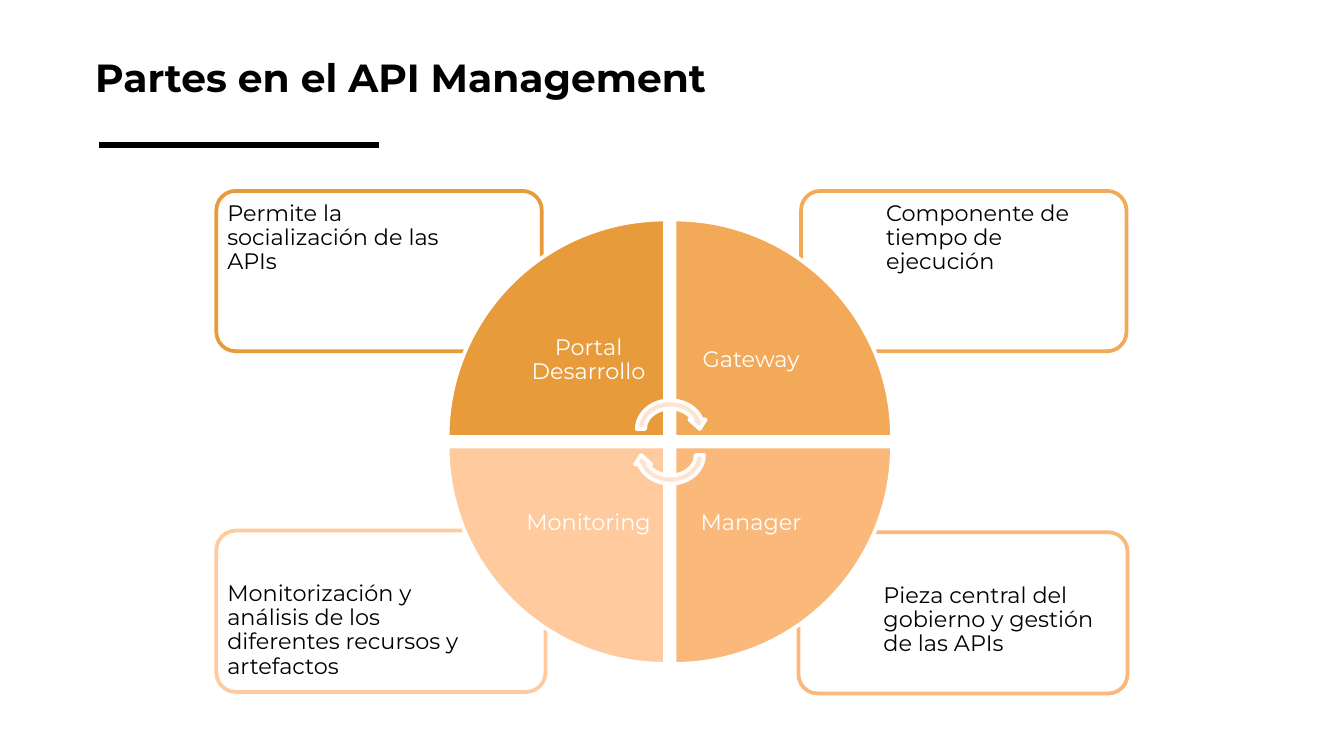
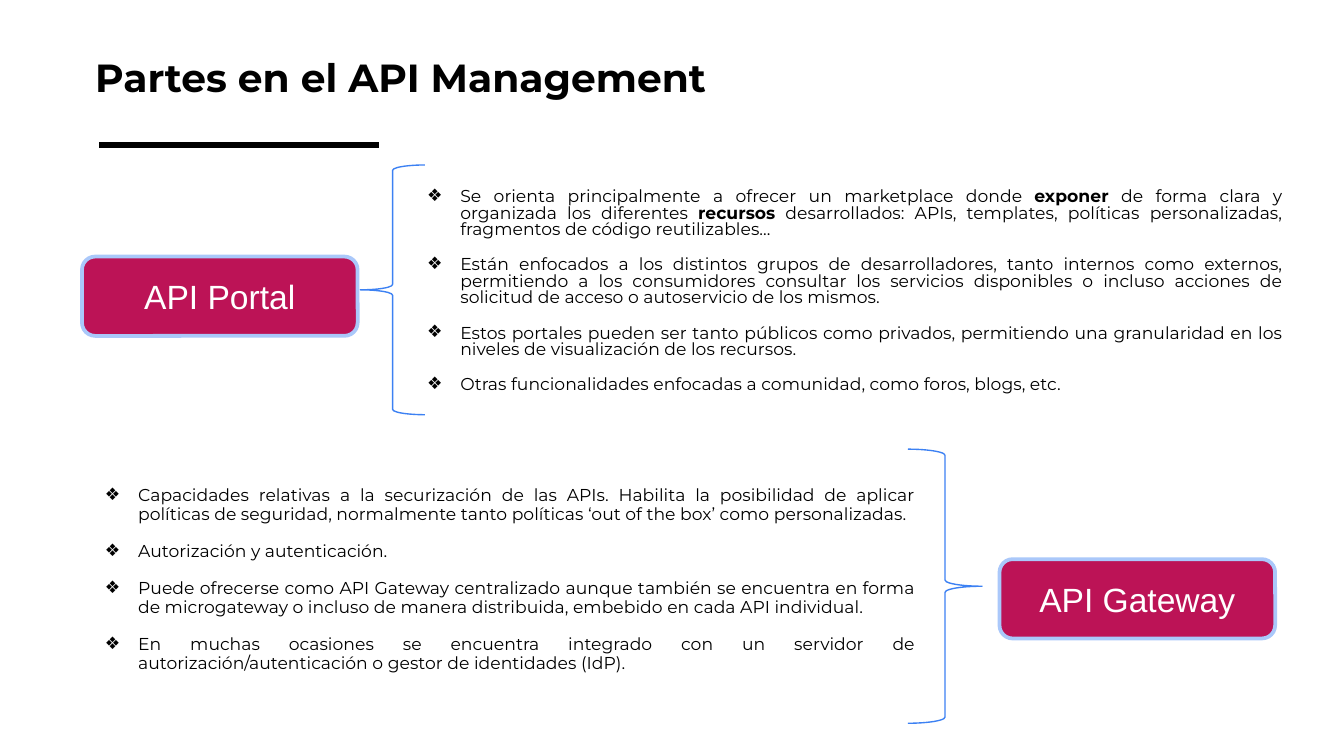
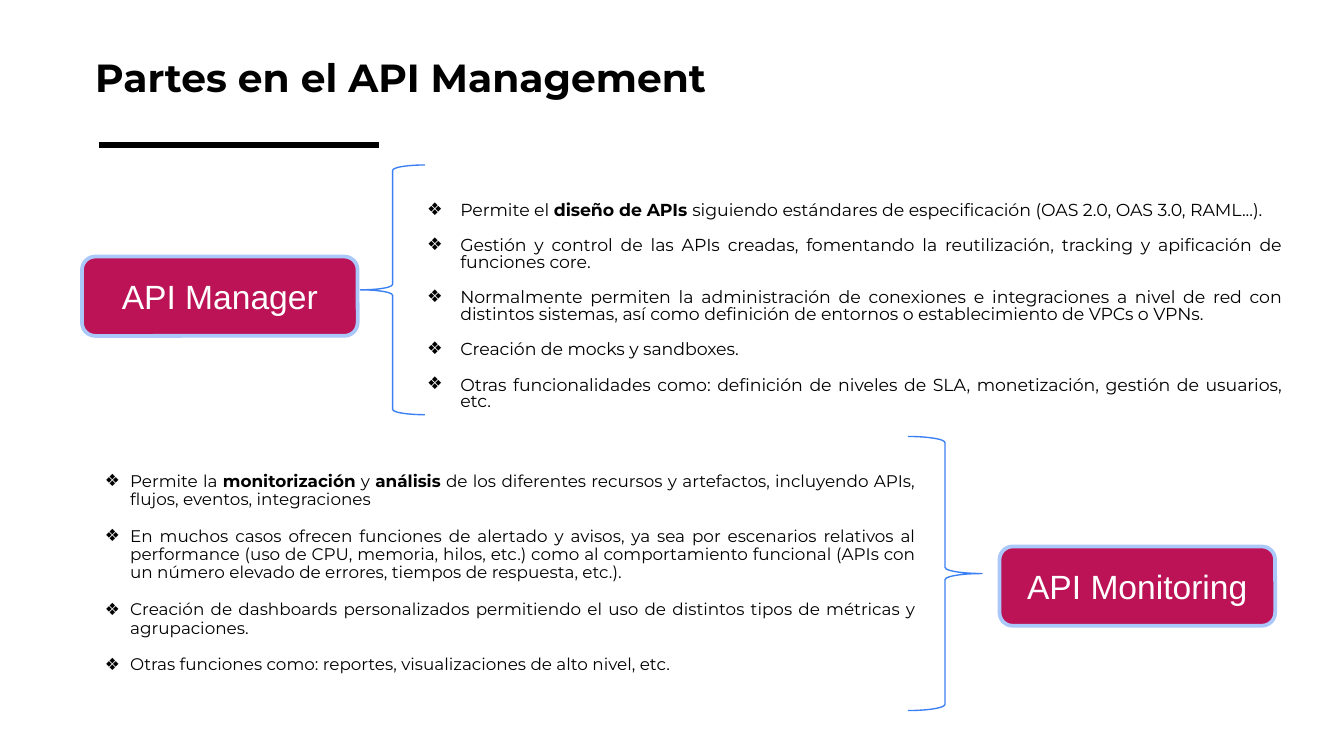
from dataclasses import dataclass
from math import cos, pi, sin
from typing import NamedTuple

from lxml import etree
from pptx import Presentation
from pptx.dml.color import RGBColor
from pptx.enum.shapes import MSO_CONNECTOR, MSO_SHAPE
from pptx.enum.text import MSO_ANCHOR, MSO_AUTO_SIZE, PP_ALIGN
from pptx.oxml.ns import qn
from pptx.util import Cm, Pt

ROUNDED = MSO_SHAPE.ROUNDED_RECTANGLE
BRACE = MSO_SHAPE.LEFT_BRACE
CYCLE_ARROW = MSO_SHAPE.CIRCULAR_ARROW
STRAIGHT = MSO_CONNECTOR.STRAIGHT
TOP, MIDDLE = MSO_ANCHOR.TOP, MSO_ANCHOR.MIDDLE
LEFT, CENTER, JUSTIFY = PP_ALIGN.LEFT, PP_ALIGN.CENTER, PP_ALIGN.JUSTIFY
NO_FIT, GROW = MSO_AUTO_SIZE.NONE, MSO_AUTO_SIZE.SHAPE_TO_FIT_TEXT

# Shared look
BLACK, WHITE = "000000", "FFFFFF"
BUTTON_FILL, BUTTON_LINE, BRACE_LINE = "BC1356", "AAC8FA", "3C81F3"
ARROW_FILL = "FFE2CF"
TEXT_FONT, BUTTON_FONT = "Montserrat", "Arial"
TITLE = "Partes en el API Management"
TITLE_ONLY_LAYOUT, TWO_CONTENT_LAYOUT = 5, 3


class Box(NamedTuple):
    """Left, top, width and height in centimetres."""
    left: float
    top: float
    width: float
    height: float


class Margins(NamedTuple):
    left: float = 0.25
    top: float = 0.13
    right: float = 0.25
    bottom: float = 0.13


@dataclass
class Part:
    """A quarter of the wheel and the box that explains it."""
    name: str
    detail: str
    color: str
    side_x: int
    side_y: int
    box: Box


@dataclass
class Side:
    """Places of a topic; tops of button and text are set per topic."""
    brace_left: float
    brace_width: float
    brace_height: float
    rotation: int
    button_left: float
    button_drop: float
    text_left: float
    text_width: float
    text_height: float
    line_spacing: float


@dataclass
class Topic:
    name: str
    side: Side
    top: float
    text_top: float
    size: float
    indent: float
    items: list[str]


# Content: wheel
PARTS = [
    Part("Manager", "Pieza central del gobierno y gestión de las APIs",
         "FAB87A", 1, 1, Box(15.09, 10.06, 6.22, 3.05)),
    Part("Monitoring",
         "Monitorización y análisis de los diferentes recursos y artefactos",
         "FFCA9E", -1, 1, Box(4.09, 10.03, 6.22, 3.05)),
    Part("Gateway", "Componente de tiempo de ejecución",
         "F2A958", 1, -1, Box(15.14, 3.61, 6.15, 3.03)),
    Part("Portal Desarrollo", "Permite la socialización de las APIs",
         "E79B3A", -1, -1, Box(4.09, 3.61, 6.15, 3.03)),
]
WHEEL_X, WHEEL_Y, RADIUS, HALF_GAP = 12.66, 8.35, 4.11, 0.09
ARC_STEPS = 40

# Content: topics, with bold words between double asterisks
UPPER = Side(6.81, 1.22, 4.72, 0, 1.55, 1.73, 7.82, 16.66, 4.37, 0.8)
LOWER = Side(17.16, 1.4, 5.18, 180, 18.89, 2.08, 1.73, 15.8, 4.04, 0.9)
TOPIC_SLIDES = [
    [
        Topic("API Portal", UPPER, 3.12, 3.45, 9.2, 0.63, [
            "Se orienta principalmente a ofrecer un marketplace donde **exponer** de forma clara y "
            "organizada los diferentes **recursos** desarrollados: APIs, templates, políticas "
            "personalizadas, fragmentos de código reutilizables…",
            "Están enfocados a los distintos grupos de desarrolladores, tanto internos como "
            "externos, permitiendo a los consumidores consultar los servicios disponibles o "
            "incluso acciones de solicitud de acceso o autoservicio de los mismos.",
            "Estos portales pueden ser tanto públicos como privados, permitiendo una "
            "granularidad en los niveles de visualización de los recursos.",
            "Otras funcionalidades enfocadas a comunidad, como foros, blogs, etc.",
        ]),
        Topic("API Gateway", LOWER, 8.49, 9.07, 9.2, 0.63, [
            "Capacidades relativas a la securización de las APIs. Habilita la posibilidad de "
            "aplicar políticas de seguridad, normalmente tanto políticas ‘out of the box’ como "
            "personalizadas.",
            "Autorización y autenticación.",
            "Puede ofrecerse como API Gateway centralizado aunque también se encuentra en forma "
            "de microgateway o incluso de manera distribuida, embebido en cada API individual.",
            "En muchas ocasiones se encuentra integrado con un servidor de "
            "autorización/autenticación o gestor de identidades (IdP).",
        ]),
    ],
    [
        Topic("API Manager", UPPER, 3.12, 3.71, 9.3, 0.63, [
            "Permite el **diseño de APIs **siguiendo estándares de especificación (OAS 2.0, "
            "OAS 3.0, RAML...).",
            "Gestión y control de las APIs creadas, fomentando la reutilización, tracking y "
            "apificación de funciones core.",
            "Normalmente permiten la administración de conexiones e integraciones a nivel de red "
            "con distintos sistemas, así como definición de entornos o establecimiento de VPCs o "
            "VPNs.",
            "Creación de mocks y sandboxes.",
            "Otras funcionalidades como: definición de niveles de SLA, monetización, gestión de "
            "usuarios, etc.",
        ]),
        Topic("API Monitoring", LOWER, 8.25, 8.81, 9, 0.48, [
            "Permite la **monitorización** y **análisis** de los diferentes recursos y artefactos, "
            "incluyendo APIs, flujos, eventos, integraciones",
            "En muchos casos ofrecen funciones de alertado y avisos, ya sea por escenarios "
            "relativos al performance (uso de CPU, memoria, hilos, etc.) como al comportamiento "
            "funcional (APIs con un número elevado de errores, tiempos de respuesta, etc.).",
            "Creación de dashboards personalizados permitiendo el uso de distintos tipos de "
            "métricas y agrupaciones.",
            "Otras funciones como: reportes, visualizaciones de alto nivel, etc.",
        ]),
    ],
]


# Helpers
def rgb(color: str) -> RGBColor:
    return RGBColor.from_string(color)


def set_values(target, values: dict) -> None:
    for name, value in values.items():
        setattr(target, name, value)


def place(shape, box: Box) -> None:
    set_values(shape, {name: Cm(value) for name, value in box._asdict().items()})


def paint(shape, fill: str | None, line: str, width: float) -> None:
    shape.shadow.inherit = False
    if fill:
        shape.fill.solid()
        shape.fill.fore_color.rgb = rgb(fill)
    else:
        shape.fill.background()
    shape.line.color.rgb = rgb(line)
    shape.line.width = Pt(width)


def add_preset(page, kind, box: Box, fill: str | None, line: str, width: float, rotation: int = 0):
    shape = page.shapes.add_shape(kind, *map(Cm, box))
    shape.rotation = rotation
    paint(shape, fill, line, width)
    return shape


def set_frame(frame, margins: Margins, anchor, fit=NO_FIT) -> None:
    set_values(frame, {"word_wrap": True, "auto_size": fit, "vertical_anchor": anchor})
    set_values(frame, {f"margin_{name}": Cm(value) for name, value in margins._asdict().items()})


def write(para, text: str, size: float, color: str = BLACK, font: str = TEXT_FONT,
          bold: bool = False, **layout) -> None:
    set_values(para, {"space_before": Pt(0), "space_after": Pt(0), **layout})
    for index, piece in enumerate(text.split("**")):
        if piece:
            span = para.add_run()
            span.text = piece
            set_values(span.font, {"name": font, "size": Pt(size),
                                   "bold": bold or index % 2 == 1})
            span.font.color.rgb = rgb(color)


def add_bullet(para, indent: float) -> None:
    properties = para._p.get_or_add_pPr()
    properties.set("marL", str(Cm(indent)))
    properties.set("indent", str(-Cm(indent)))
    color = etree.SubElement(properties, qn("a:buClr"))
    etree.SubElement(color, qn("a:srgbClr"), val=BLACK)
    etree.SubElement(properties, qn("a:buChar"), char="❖")


def add_page(deck, layout: int):
    """New slide with the shared title and the rule below it."""
    page = deck.slides.add_slide(deck.slide_layouts[layout])
    title = page.shapes.title
    place(title, Box(1.55, 0.61, 16.69, 1.55))
    set_frame(title.text_frame, Margins(0.25, 0.25, 0.25, 0.25), MIDDLE, GROW)
    write(title.text_frame.paragraphs[0], TITLE, 21, bold=True,
          alignment=LEFT, line_spacing=1.15)
    rule = page.shapes.add_connector(STRAIGHT, Cm(1.88), Cm(2.74), Cm(7.16), Cm(2.74))
    rule.line.color.rgb = rgb(BLACK)
    rule.line.width = Pt(3)
    etree.SubElement(rule._element.spPr, qn("a:effectLst"))
    return page


# Wheel slide
def add_detail(page, part: Part) -> None:
    box = add_preset(page, ROUNDED, part.box, WHITE, part.color, 2)
    box.adjustments[0] = 0.12
    near, wheel = 0.1, 1.5
    left, right = (wheel, near) if part.side_x > 0 else (near, wheel)
    top, bottom = (0.87, near) if part.side_y > 0 else (near, 0.87)
    set_frame(box.text_frame, Margins(left, top, right, bottom), TOP)
    write(box.text_frame.paragraphs[0], part.detail, 12, alignment=LEFT, line_spacing=0.9)


def add_quarter(page, part: Part) -> None:
    corner_x = WHEEL_X + part.side_x * HALF_GAP
    corner_y = WHEEL_Y + part.side_y * HALF_GAP
    angles = [pi / 2 * step / ARC_STEPS for step in range(ARC_STEPS + 1)]
    arc = [(Cm(corner_x + part.side_x * RADIUS * cos(angle)),
            Cm(corner_y + part.side_y * RADIUS * sin(angle))) for angle in angles]
    builder = page.shapes.build_freeform(Cm(corner_x), Cm(corner_y))
    builder.add_line_segments(arc, close=True)
    quarter = builder.convert_to_shape()
    paint(quarter, part.color, WHITE, 2)
    outer, inner = 1.45, 0.23
    left, right = (inner, outer) if part.side_x > 0 else (outer, inner)
    top, bottom = (inner, outer) if part.side_y > 0 else (outer, inner)
    set_frame(quarter.text_frame, Margins(left, top, right, bottom), MIDDLE)
    write(quarter.text_frame.paragraphs[0], part.name, 12, WHITE,
          alignment=CENTER, line_spacing=0.9)


def build_wheel(deck) -> None:
    page = add_page(deck, TITLE_ONLY_LAYOUT)
    for part in PARTS:
        add_detail(page, part)
    for part in PARTS:
        add_quarter(page, part)
    for top, rotation in ((7.49, 0), (7.98, 180)):
        add_preset(page, CYCLE_ARROW, Box(11.96, top, 1.42, 1.24),
                   ARROW_FILL, WHITE, 2, rotation)


# Topic slides
def add_topic(page, body, topic: Topic) -> None:
    side = topic.side
    place(body, Box(side.text_left, topic.text_top, side.text_width, side.text_height))
    frame = body.text_frame
    set_frame(frame, Margins(), TOP)
    for index, item in enumerate(topic.items):
        para = frame.add_paragraph() if index else frame.paragraphs[0]
        write(para, item, topic.size, alignment=JUSTIFY,
              line_spacing=side.line_spacing, space_before=Pt(10))
        add_bullet(para, topic.indent)

    button = add_preset(page, ROUNDED,
                        Box(side.button_left, topic.top + side.button_drop, 5.21, 1.5),
                        BUTTON_FILL, BUTTON_LINE, 2)
    set_frame(button.text_frame, Margins(), MIDDLE)
    write(button.text_frame.paragraphs[0], topic.name, 18, WHITE, BUTTON_FONT, alignment=CENTER)
    add_preset(page, BRACE,
               Box(side.brace_left, topic.top, side.brace_width, side.brace_height),
               None, BRACE_LINE, 0.75, side.rotation)


def build_topics(deck, topics: list[Topic]) -> None:
    page = add_page(deck, TWO_CONTENT_LAYOUT)
    bodies = list(page.placeholders)[1:]
    for body, topic in zip(bodies, topics):
        add_topic(page, body, topic)


def main() -> None:
    deck = Presentation()
    deck.slide_width, deck.slide_height = Cm(25.4), Cm(14.29)
    build_wheel(deck)
    for topics in TOPIC_SLIDES:
        build_topics(deck, topics)
    deck.save("out.pptx")


if __name__ == "__main__":
    main()
